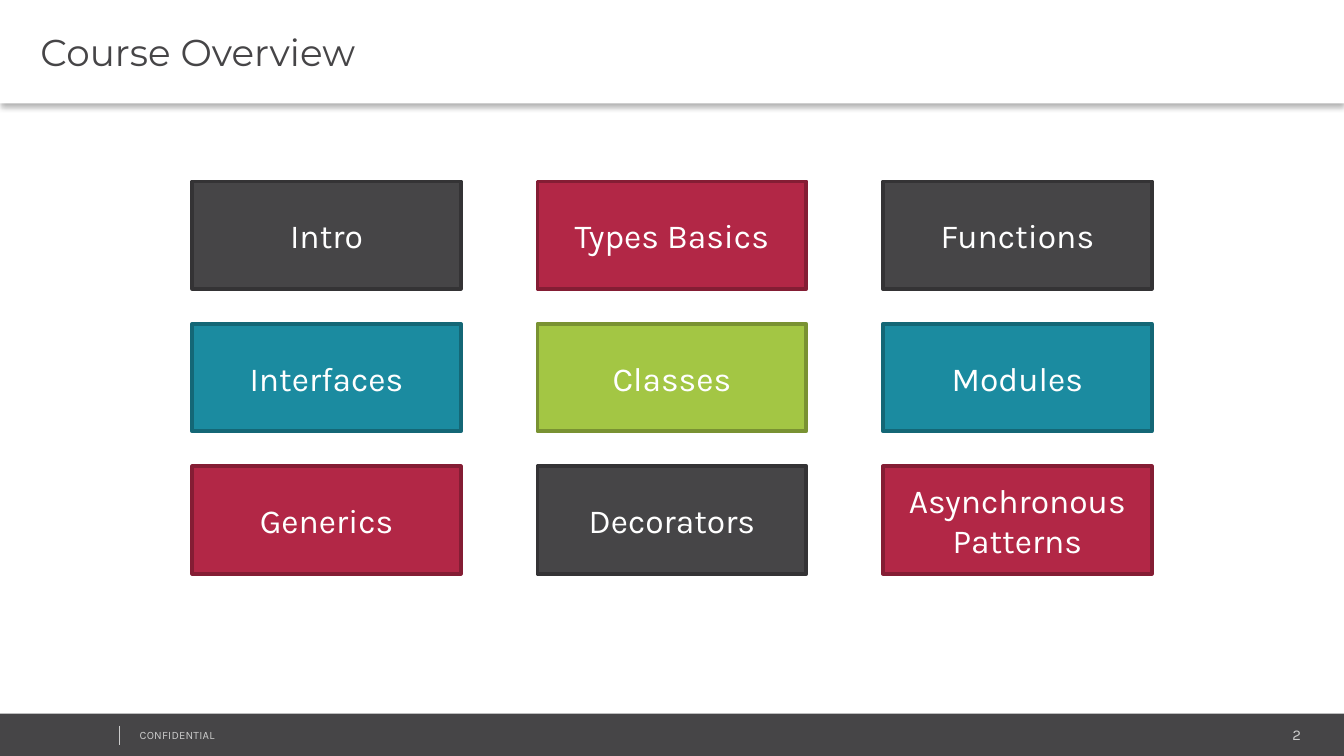
from lxml.etree import SubElement
from pptx import Presentation
from pptx.dml.color import RGBColor
from pptx.enum.shapes import MSO_CONNECTOR, MSO_SHAPE
from pptx.enum.text import MSO_ANCHOR, MSO_AUTO_SIZE, PP_ALIGN
from pptx.oxml import parse_xml
from pptx.oxml.ns import nsdecls, qn
from pptx.util import Inches, Pt

WHITE = RGBColor(0xFF, 0xFF, 0xFF)
PALE = RGBColor(0xCC, 0xCC, 0xCC)
GRAY = RGBColor(0x46, 0x45, 0x47)
RED = RGBColor(0xB2, 0x27, 0x46)
TEAL = RGBColor(0x1B, 0x8B, 0xA0)
GREEN = RGBColor(0xA3, 0xC6, 0x44)
EDGES = {
    GRAY: RGBColor(0x34, 0x33, 0x35),
    RED: RGBColor(0x84, 0x1D, 0x34),
    TEAL: RGBColor(0x14, 0x67, 0x76),
    GREEN: RGBColor(0x79, 0x92, 0x32),
}

TOPICS = [
    [("Intro", GRAY), ("Types Basics", RED), ("Functions", GRAY)],
    [("Interfaces", TEAL), ("Classes", GREEN), ("Modules", TEAL)],
    [("Generics", RED), ("Decorators", GRAY), ("Asynchronous Patterns", RED)],
]

SHADOW = f"""<a:effectLst {nsdecls("a")}>
  <a:outerShdw blurRad="{Pt(3.1)}" dist="{Pt(2)}" dir="5400000" rotWithShape="0">
    <a:srgbClr val="000000"><a:alpha val="30000"/></a:srgbClr>
  </a:outerShdw>
</a:effectLst>"""


def write(shape, text, size, color=WHITE, font="Karla", align=PP_ALIGN.LEFT,
          anchor=MSO_ANCHOR.MIDDLE, pads=(0.1, 0.05), space=None):
    """Fill a shape with text; pads are the side and the top/bottom insets."""
    frame = shape.text_frame
    frame.word_wrap = True
    frame.auto_size = MSO_AUTO_SIZE.NONE
    frame.vertical_anchor = anchor
    frame.margin_left = frame.margin_right = Inches(pads[0])
    frame.margin_top = frame.margin_bottom = Inches(pads[1])
    par = frame.paragraphs[0]
    par.alignment = align
    run = par.add_run()
    run.text = text
    run.font.size = Pt(size)
    run.font.name = font
    run.font.color.rgb = color
    if space:
        run.font._element.set("spc", str(round(space * 100)))


def add_rect(slide, x, y, w, h, fill, edge=None):
    rect = slide.shapes.add_shape(
        MSO_SHAPE.RECTANGLE, Inches(x), Inches(y), Inches(w), Inches(h))
    rect.shadow.inherit = False
    rect.fill.solid()
    rect.fill.fore_color.rgb = fill
    if edge is None:
        rect.line.fill.background()
    else:
        rect.line.color.rgb = edge
        rect.line.width = Pt(2)
    return rect


def add_note(slide, x, y, w, h, text, size, **style):
    box = slide.shapes.add_textbox(Inches(x), Inches(y), Inches(w), Inches(h))
    write(box, text, size, color=PALE, anchor=MSO_ANCHOR.TOP,
          pads=(0.07, 0.04), **style)


def add_footer(slide):
    add_rect(slide, 0, 5.31, 10.01, 0.33, GRAY)
    add_note(slide, 8.12, 5.36, 1.63, 0.21, "2", 8, align=PP_ALIGN.RIGHT)
    add_note(slide, 0.97, 5.38, 2.53, 0.18, "CONFIDENTIAL", 6, space=0.1)
    rule = slide.shapes.add_connector(
        MSO_CONNECTOR.STRAIGHT,
        Inches(0.89), Inches(5.4), Inches(0.89), Inches(5.54))
    rule.line.color.rgb = PALE
    rule.line.width = Pt(0.25)
    SubElement(rule._element.spPr, qn("a:effectLst"))


def add_title(slide, text):
    """Turn the title placeholder into a white band with a soft shadow."""
    title = slide.shapes.title
    title.left, title.top = Inches(0), Inches(0)
    title.width, title.height = Inches(10), Inches(0.77)
    title.fill.solid()
    title.fill.fore_color.rgb = WHITE
    title._element.spPr.append(parse_xml(SHADOW))
    write(title, text, 20, color=GRAY, font="Montserrat", pads=(0.3, 0.04))


def add_topics(slide):
    for row, topics in enumerate(TOPICS):
        for col, (name, fill) in enumerate(topics):
            box = add_rect(slide, 1.43 + 2.57 * col, 1.35 + 1.06 * row,
                           2, 0.8, fill, EDGES[fill])
            write(box, name, 18, align=PP_ALIGN.CENTER)


def main():
    deck = Presentation()
    deck.slide_width = Inches(10)
    deck.slide_height = deck.slide_width * 9 // 16
    slide = deck.slides.add_slide(deck.slide_layouts[5])
    add_footer(slide)
    add_title(slide, "Course Overview")
    add_topics(slide)
    deck.save("out.pptx")


if __name__ == "__main__":
    main()
